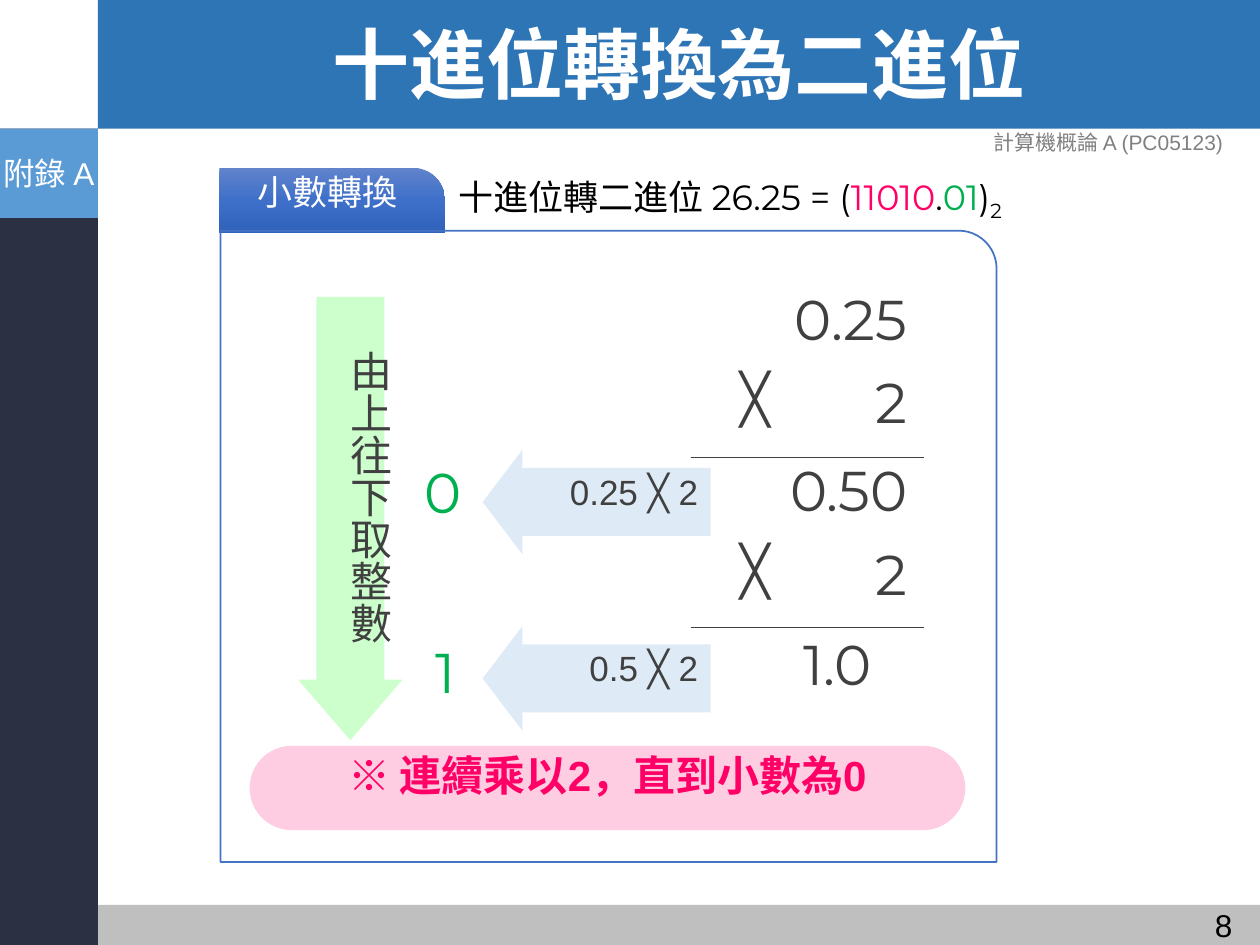
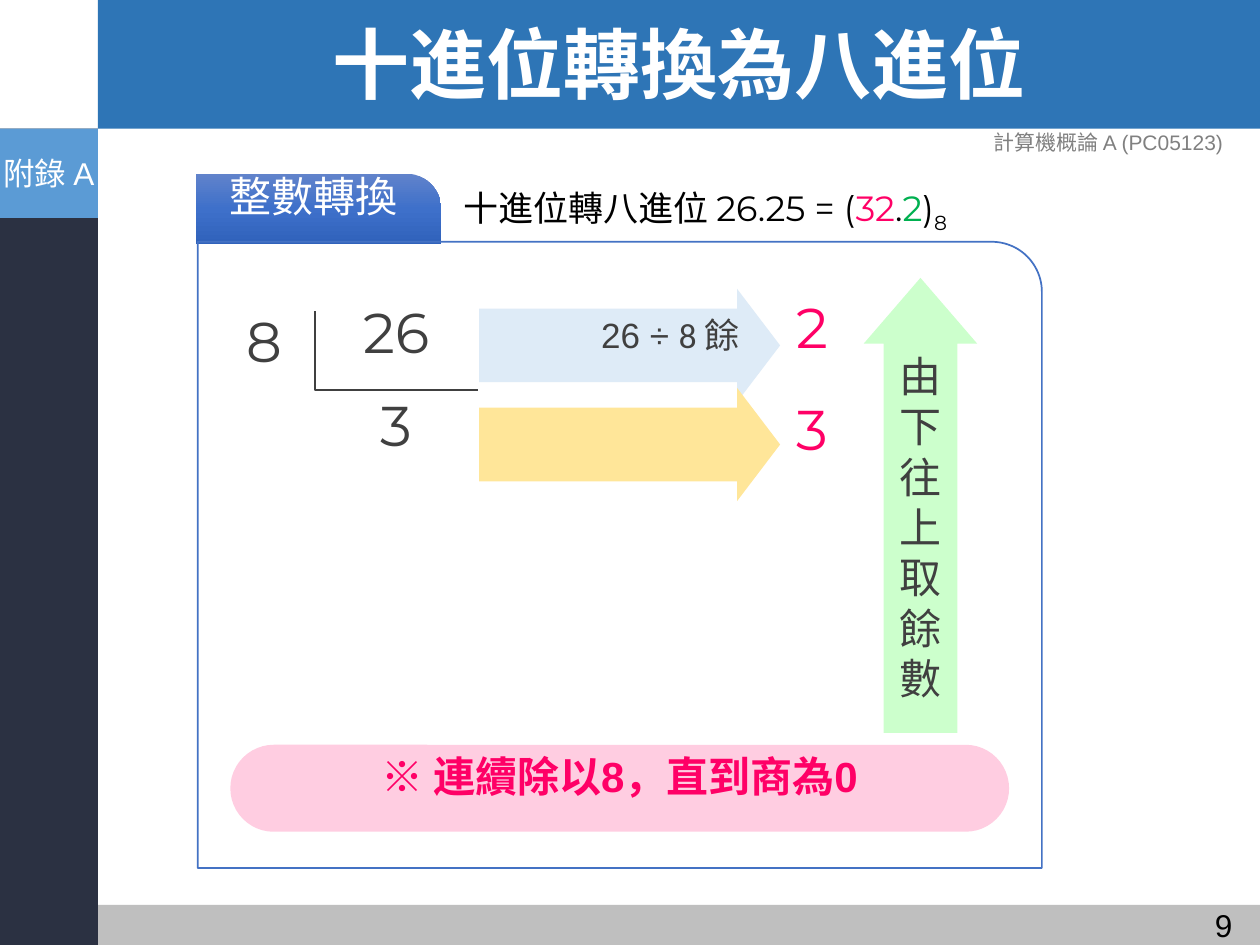
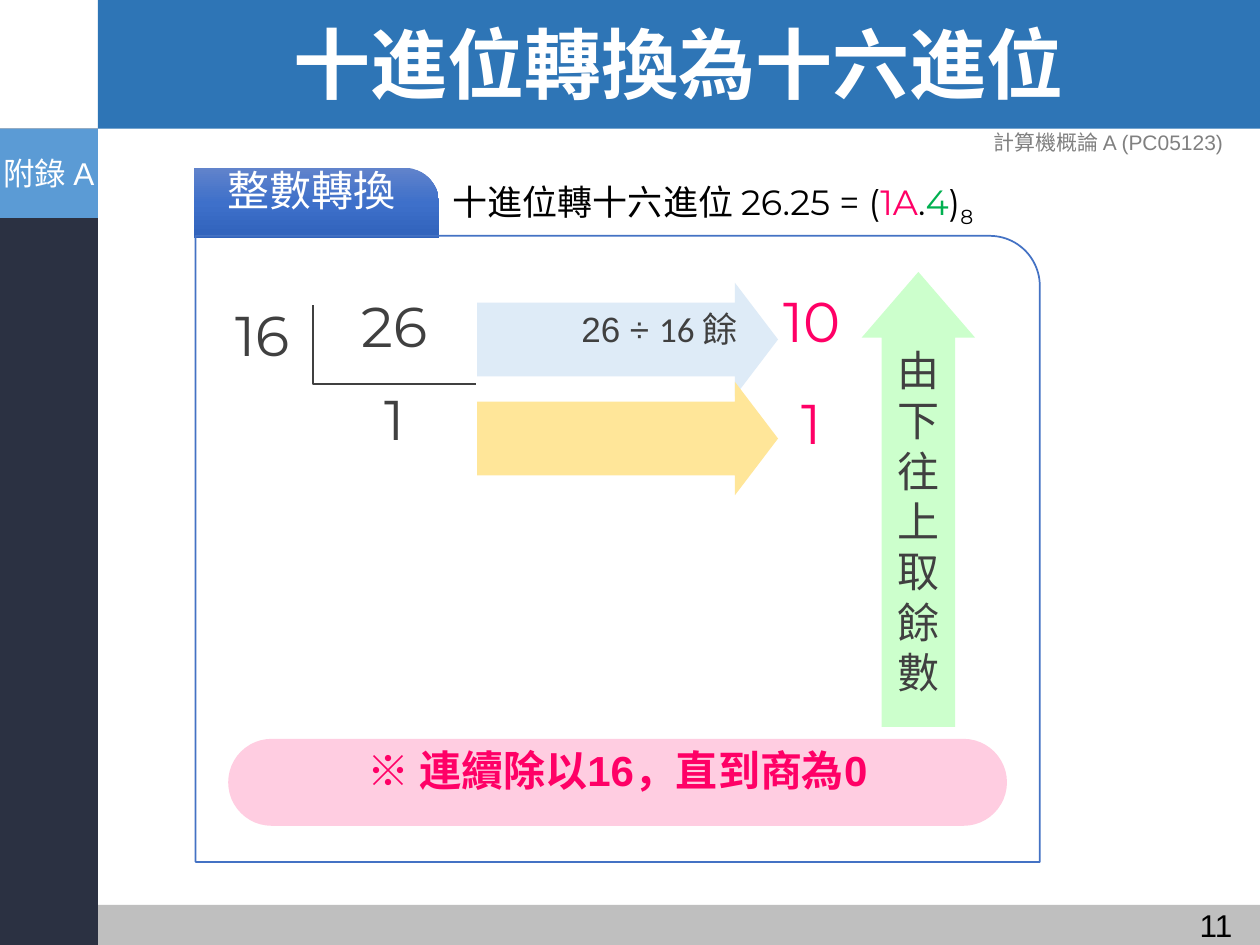
from copy import deepcopy
from dataclasses import dataclass

from pptx import Presentation
from pptx.dml.color import RGBColor
from pptx.enum.shapes import MSO_CONNECTOR, MSO_SHAPE as Preset
from pptx.enum.text import MSO_ANCHOR as Anchor, PP_ALIGN as Align
from pptx.oxml.ns import qn
from pptx.oxml.xmlchemy import OxmlElement
from pptx.util import Pt


@dataclass(frozen=True)
class Theme:
    white: str = "FFFFFF"
    black: str = "000000"
    ink: str = "404040"
    muted: str = "808080"
    title_band: str = "2E75B6"
    side_band: str = "2B3142"
    footer_band: str = "BFBFBF"
    chapter: str = "5B9BD5"
    outline: str = "4472C4"
    tab: tuple = ("6183CB", "3E70CA", "3062BB")
    step: str = "DEEBF7"
    last_step: str = "FFE699"
    direction: str = "CCFFCC"
    note: str = "FFCDE1"
    whole: str = "FF0066"
    fraction: str = "00B050"
    body: str = "Arial"
    digits: str = "Montserrat"
    symbols: str = "Calibri"
    title_size: int = 44
    digit_size: int = 32
    times_size: int = 28
    large: int = 24
    medium: int = 20
    small: int = 18
    caption: int = 12


class Lesson:
    """Holds the deck, its theme and the current page, and draws each kind of element."""

    def __init__(self, theme):
        self.theme = theme
        self.deck = Presentation()
        self.deck.slide_width, self.deck.slide_height = Pt(720), Pt(540)
        self.page = None

    def new_page(self, title, number):
        theme = self.theme
        self.page = self.deck.slides.add_slide(self.deck.slide_layouts[6])
        self.shape(Preset.RECTANGLE, (56, 0, 664, 73.5), theme.title_band)
        self.shape(Preset.RECTANGLE, (56, 517, 664, 23), theme.footer_band)
        self.shape(Preset.RECTANGLE, (-0.5, 73.5, 56.5, 466.5), theme.side_band)
        self.text((56, 2.2, 664, 73.5), title, theme.title_size, theme.white, theme.digits,
                  bold=True, spacing=0.9, anchor=Anchor.MIDDLE)
        self.text((635, 514, 76.3, 28.8), number, theme.small, theme.black, align=Align.RIGHT)
        self.text((546.5, 67, 173.5, 28.8), "計算機概論 A (PC05123)", theme.caption,
                  theme.muted, anchor=Anchor.MIDDLE)
        chapter = self.shape(Preset.RECTANGLE, (0, 73.5, 56, 51), theme.chapter)
        self.label(chapter, "附錄 A", theme.small, theme.white, inset=3, wrap=False)

    def label(self, box, content, size, color, font=None, bold=False, align=Align.CENTER,
              spacing=None, anchor=Anchor.MIDDLE, inset=None, wrap=True):
        frame = box.text_frame
        frame.word_wrap, frame.vertical_anchor = wrap, anchor
        if inset is not None:
            frame.margin_left = frame.margin_right = Pt(inset)
            frame.margin_top = frame.margin_bottom = Pt(inset)
        para = frame.paragraphs[0]
        para.alignment = align
        if spacing:
            para.line_spacing = spacing
        para.font.size, para.font.bold = Pt(size), bold
        para.font.name = font or self.theme.body
        para.font.color.rgb = RGBColor.from_string(color)
        spans = [(content, {})] if isinstance(content, str) else content
        for words, changes in spans:
            span = para.add_run()
            span.text = words
            if "font" in changes:
                span.font.name = changes["font"]
            if "color" in changes:
                span.font.color.rgb = RGBColor.from_string(changes["color"])
            if "baseline" in changes:
                span.font._element.set("baseline", str(changes["baseline"] * 1000))

    def text(self, at, content, size, color, font=None, anchor=Anchor.TOP, **style):
        box = self.page.shapes.add_textbox(*map(Pt, at))
        self.label(box, content, size, color, font, anchor=anchor, **style)
        return box

    def shape(self, preset, at, fill=None, line=None, adjustments=()):
        shape = self.page.shapes.add_shape(preset, *map(Pt, at))
        for index, value in enumerate(adjustments):
            shape.adjustments[index] = value
        self.paint(shape, fill, line)
        return shape

    def paint(self, shape, fill, line):
        shape.shadow.inherit = False
        if fill:
            shape.fill.solid()
            shape.fill.fore_color.rgb = RGBColor.from_string(fill)
        else:
            shape.fill.background()
        if line:
            shape.line.color.rgb = RGBColor.from_string(line)
            shape.line.width = Pt(1)
        else:
            shape.line.fill.background()

    def rule(self, left, right, top):
        line = self.page.shapes.add_connector(
            MSO_CONNECTOR.STRAIGHT, Pt(left), Pt(top), Pt(right), Pt(top))
        line.line.color.rgb = RGBColor.from_string(self.theme.ink)
        line.line.width = Pt(1)
        line._element.spPr.append(OxmlElement("a:effectLst"))

    def bracket(self, left, top, width, height, dividend):
        builder = self.page.shapes.build_freeform(Pt(left), Pt(top))
        bottom = Pt(top + height)
        builder.add_line_segments([(Pt(left), bottom), (Pt(left + width), bottom)], close=False)
        shape = builder.convert_to_shape()
        self.paint(shape, None, self.theme.ink)
        self.label(shape, dividend, self.theme.digit_size, self.theme.ink,
                   self.theme.digits, spacing=Pt(16))

    def digits(self, at, content, color=None, **style):
        self.text(at, content, self.theme.digit_size, color or self.theme.ink,
                  self.theme.digits, **style)

    def step_arrow(self, preset, at, content=None, fill=None):
        arrow = self.shape(preset, at, fill or self.theme.step, adjustments=(0.65, 0.38))
        if content:
            self.label(arrow, content, self.theme.medium, self.theme.ink,
                       align=Align.RIGHT, spacing=Pt(12))

    def direction_arrow(self, preset, at):
        return self.shape(preset, at, self.theme.direction, adjustments=(0.65, 0.58))

    def note(self, at, content):
        pill = self.shape(Preset.ROUNDED_RECTANGLE, at, self.theme.note, adjustments=(0.5,))
        self.label(pill, content, self.theme.large, self.theme.whole, bold=True,
                   spacing=Pt(14), inset=0)

    def tabbed_panel(self, tab_at, panel_at, heading, size, corner):
        tab = self.shape(Preset.ROUND_1_RECTANGLE, tab_at, adjustments=(0.5,))
        tab.fill.gradient()
        tab.fill.gradient_angle = 270
        stops = tab._element.spPr.find(".//" + qn("a:gsLst"))
        stops.insert(1, deepcopy(stops[0]))
        for index, stop in enumerate(tab.fill.gradient_stops):
            stop.position = index / 2
            stop.color.rgb = RGBColor.from_string(self.theme.tab[index])
        self.label(tab, heading, size, self.theme.white, spacing=Pt(14), inset=0)
        self.shape(Preset.ROUND_1_RECTANGLE, panel_at, line=self.theme.outline,
                   adjustments=(corner,))

    def equation(self, at, caption, whole, fraction, base):
        theme = self.theme
        digits = {"font": theme.digits}
        spans = [(caption, {}), ("26.25 = (", digits),
                 (whole, {**digits, "color": theme.whole}), (".", digits),
                 (fraction, {**digits, "color": theme.fraction}), (")", digits),
                 (base, {**digits, "baseline": -25})]
        self.text(at, spans, theme.medium, theme.black, align=Align.LEFT)


def multiplication_page(lesson):
    theme = lesson.theme
    lesson.new_page("十進位轉換為二進位", "8")
    lesson.digits((419.8, 159.1, 105.8, 47.5), "0.25", align=Align.RIGHT)
    steps = [("0", "0.25 ╳ 2", "0.50", 419.8), ("1", "0.5 ╳ 2", "1.0", 399.6)]
    for index, (digit, product, result, result_left) in enumerate(steps):
        factor_top = 206.6 + 97.9 * index
        arrow_top = 257 + 100.8 * index
        lesson.digits((227.5 + 1.5 * index, 257.8 + 103 * index, 51.8, 47.5), digit, theme.fraction)
        lesson.step_arrow(Preset.LEFT_ARROW, (275.8, arrow_top, 130.3, 59.8), product)
        lesson.digits((473.8, factor_top, 51.8, 47.5), "2", align=Align.RIGHT)
        lesson.text((395.3, factor_top, 51.8, 47.5), "╳", theme.times_size, theme.ink,
                    theme.symbols, bold=True, align=Align.RIGHT)
        lesson.rule(394.6, 527.8, 261.4 + 97.2 * index)
        lesson.digits((result_left, 257 + 99.4 * index, 105.8, 58.3), result, align=Align.RIGHT)
    lesson.note((142.6, 426.2, 409, 48.2), "※ 連續乘以2，直到小數為0")
    lesson.direction_arrow(Preset.DOWN_ARROW, (170.3, 169.6, 59.8, 253.4))
    column = lesson.text((174.2, 193, 40.3, 196.6), "由上往下取整數", theme.large, theme.ink,
                         align=Align.LEFT, spacing=Pt(14))
    column.text_frame._txBody.bodyPr.set("vert", "eaVert")
    lesson.tabbed_panel((125.3, 95.8, 129, 37.4), (126, 131.8, 443.5, 360.7),
                        "小數轉換", theme.medium, 0.06)
    lesson.equation((254.9, 96.5, 373.7, 31.7), "十進位轉二進位 ", "11010", "01", "2")


def division_page(lesson, title, number, divisor, quotient, remainder, caption, whole, fraction,
                  equation_left, dx=0, dy=0):
    theme = lesson.theme

    def moved(left, top, width, height):
        return left + dx, top + dy, width, height

    lesson.new_page(title, number)
    lesson.bracket(*moved(180, 177.8, 93, 45), "26")
    lesson.digits(moved(112.7, 171.4, 77, 51), divisor)
    lesson.text(moved(180, 231.1, 93, 45), quotient, theme.digit_size, theme.ink, theme.digits,
                spacing=Pt(16), anchor=Anchor.MIDDLE)
    lesson.digits((420, 163.8 + dy, 88, 51), remainder, theme.whole)
    lesson.digits((420, 221.8 + dy, 88, 51), quotient, theme.whole)
    lesson.step_arrow(Preset.RIGHT_ARROW, moved(273.8, 165, 172, 64.8),
                      [("26 ÷ ", {}), (divisor + " ", {"font": theme.symbols}), ("餘", {})])
    lesson.step_arrow(Preset.RIGHT_ARROW, moved(273.8, 221.6, 172, 64.8), fill=theme.last_step)
    lesson.note(moved(131.6, 425.6, 445, 49.7), f"※ 連續除以{divisor}，直到商為0")
    arrow = lesson.direction_arrow(Preset.UP_ARROW, moved(493.6, 158.8, 64.8, 260))
    lesson.label(arrow, "由下往上取餘數", theme.large, theme.ink)
    lesson.tabbed_panel(moved(111.9, 99.2, 140.2, 40.2), moved(113, 138.2, 482.4, 357.8),
                        "整數轉換", theme.large, 0.08)
    lesson.equation((equation_left, 103.2 + dy, 342, 31.7), caption, whole, fraction, "8")


def main():
    lesson = Lesson(Theme())
    multiplication_page(lesson)
    division_page(lesson, "十進位轉換為八進位", "9", "8", "3", "2",
                  "十進位轉八進位 ", "32", "2", 257.5)
    division_page(lesson, "十進位轉換為十六進位", "11", "16", "1", "10",
                  "十進位轉十六進位 ", "1A", "4", 251.6, dx=-1.2, dy=-3.4)
    lesson.deck.save("out.pptx")


if __name__ == "__main__":
    main()
